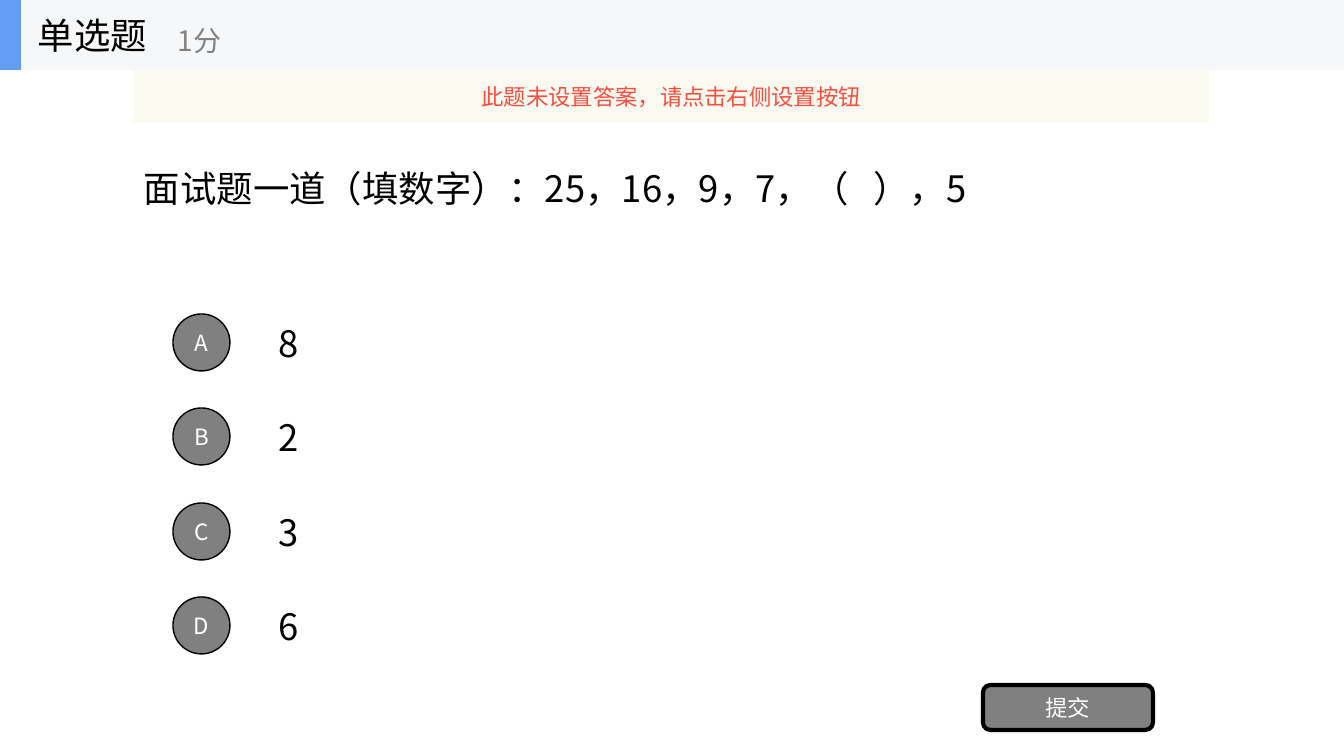
from lxml import etree
from pptx import Presentation
from pptx import util as u
from pptx.dml.color import RGBColor
from pptx.enum import shapes, text
from pptx.oxml.ns import qn

# Content
TITLE = "单选题"
SCORE = "1分"
WARNING = "此题未设置答案，请点击右侧设置按钮"
QUESTION = "面试题一道（填数字）：25，16，9，7，（   ），5"
ANSWERS = {"A": "8", "B": "2", "C": "3", "D": "6"}
SUBMIT = "提交"

# Style
FONT = "Noto Sans CJK SC"
BLACK = RGBColor(0x00, 0x00, 0x00)
WHITE = RGBColor(0xFF, 0xFF, 0xFF)
GRAY = RGBColor(0x80, 0x80, 0x80)
HEADER = RGBColor(0xF6, 0xF7, 0xF8)
BLUE = RGBColor(0x63, 0x9E, 0xF4)
CREAM = RGBColor(0xFB, 0xFA, 0xEF)
RED = RGBColor(0xF8, 0x4F, 0x41)
LEFT, CENTER = text.PP_ALIGN.LEFT, text.PP_ALIGN.CENTER
KIND = shapes.MSO_SHAPE

# Layout in px
WIDTH, HEIGHT = 1344, 756
HEADER_HEIGHT = 70
BODY_LEFT, BODY_WIDTH = 134, 1075
ROW_TOP, ROW_HEIGHT, TWO_ROWS = 307, 71, 189
BADGE_LEFT, BADGE_SIZE = 173, 57
ANSWER_LEFT, ANSWER_WIDTH = 269, 940


def px(length):
    return u.Emu(round(length * 914400 / 100.8))


def write(shape, words, size, color, align=LEFT):
    frame = shape.text_frame
    frame.word_wrap = True
    frame.vertical_anchor = text.MSO_ANCHOR.MIDDLE
    para = frame.paragraphs[0]
    para.alignment = align
    span = para.add_run()
    span.text = words
    for name, value in {"size": u.Pt(size), "name": FONT}.items():
        setattr(span.font, name, value)
    span.font.color.rgb = color
    east_asian = etree.SubElement(span.font._element, qn("a:ea"))
    east_asian.set("typeface", FONT)


def add_label(parent, area, words, size, color=BLACK):
    write(parent.add_textbox(*map(px, area)), words, size, color)


def add_block(parent, kind, area, fill, border=0):
    shape = parent.add_shape(kind, *map(px, area))
    shape.shadow.inherit = False
    shape.fill.solid()
    shape.fill.fore_color.rgb = fill
    if border:
        shape.line.color.rgb = BLACK
        shape.line.width = u.Pt(border)
    else:
        shape.line.fill.background()
    return shape


deck = Presentation()
deck.slide_width, deck.slide_height = px(WIDTH), px(HEIGHT)
page = deck.slides.add_slide(deck.slide_layouts[6])
canvas = page.shapes

# Question
add_label(canvas, (BODY_LEFT, HEADER_HEIGHT, BODY_WIDTH, 236), QUESTION, 26)

# Answers with lettered badges
for index, (letter, answer) in enumerate(ANSWERS.items()):
    top = ROW_TOP + index * TWO_ROWS // 2
    add_label(canvas, (ANSWER_LEFT, top, ANSWER_WIDTH, ROW_HEIGHT), answer, 26)
    badge_top = top + (ROW_HEIGHT - BADGE_SIZE) // 2
    badge = add_block(canvas, KIND.OVAL,
                      (BADGE_LEFT, badge_top, BADGE_SIZE, BADGE_SIZE), GRAY, 1)
    write(badge, letter, 16, WHITE, CENTER)

# Submit button
button = add_block(canvas, KIND.ROUNDED_RECTANGLE, (983, 685, 170, 45), GRAY, 3)
write(button, SUBMIT, 16, WHITE, CENTER)

# Header
header = canvas.add_group_shape().shapes
add_block(header, KIND.RECTANGLE, (0, 0, WIDTH, HEADER_HEIGHT), HEADER)
add_block(header, KIND.RECTANGLE, (0, 0, 21, HEADER_HEIGHT), BLUE)
add_label(header, (28, 0, 210, HEADER_HEIGHT), TITLE, 26)
add_label(header, (168, 12, 252, 56), SCORE, 20, GRAY)

# Warning banner, slightly transparent
banner = add_block(canvas, KIND.RECTANGLE,
                   (BODY_LEFT, HEADER_HEIGHT, BODY_WIDTH, 53), CREAM)
fill_color = banner.fill._xPr.find(qn("a:solidFill"))[0]
etree.SubElement(fill_color, qn("a:alpha")).set("val", "90000")
write(banner, WARNING, 16, RED, CENTER)

deck.save("out.pptx")
